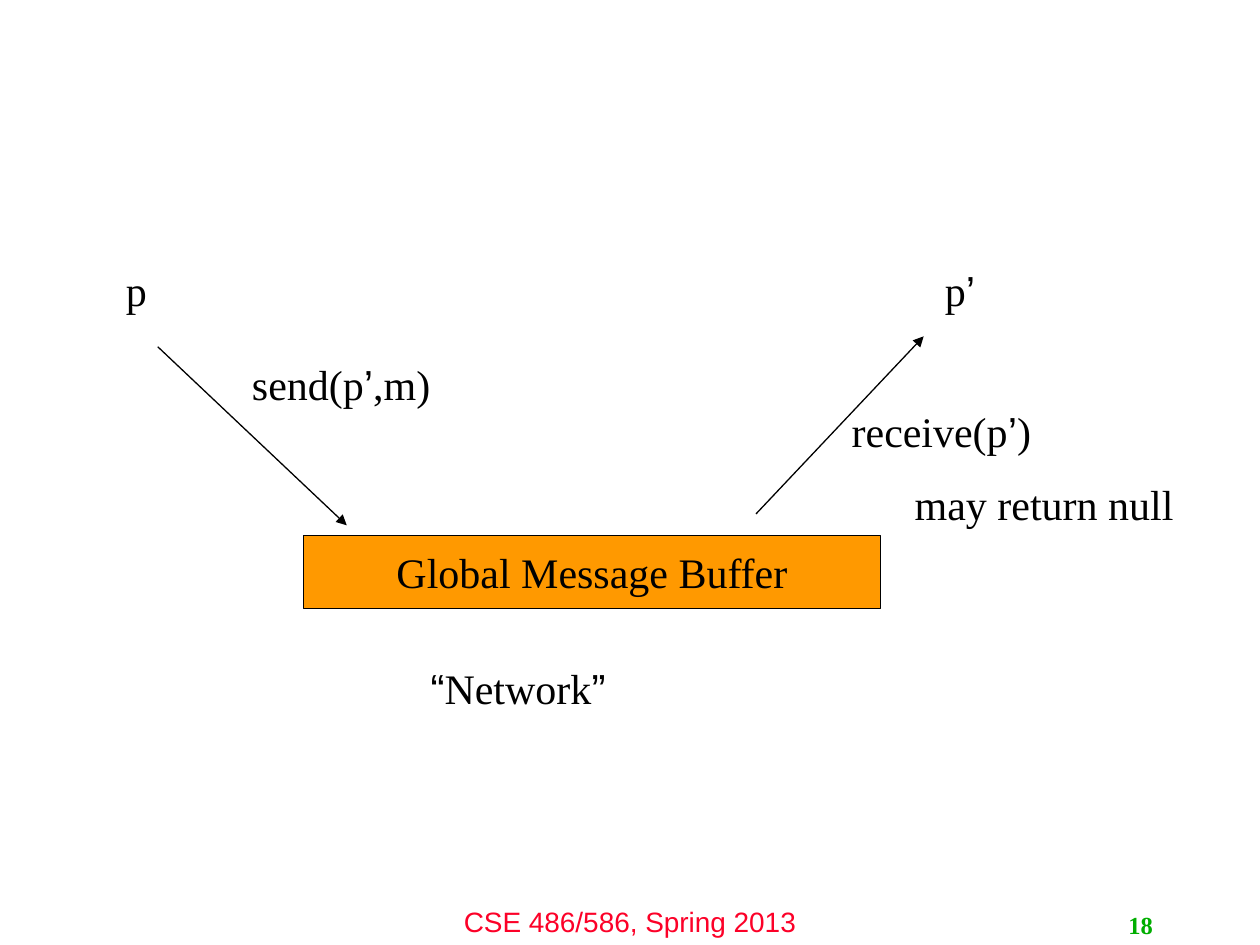
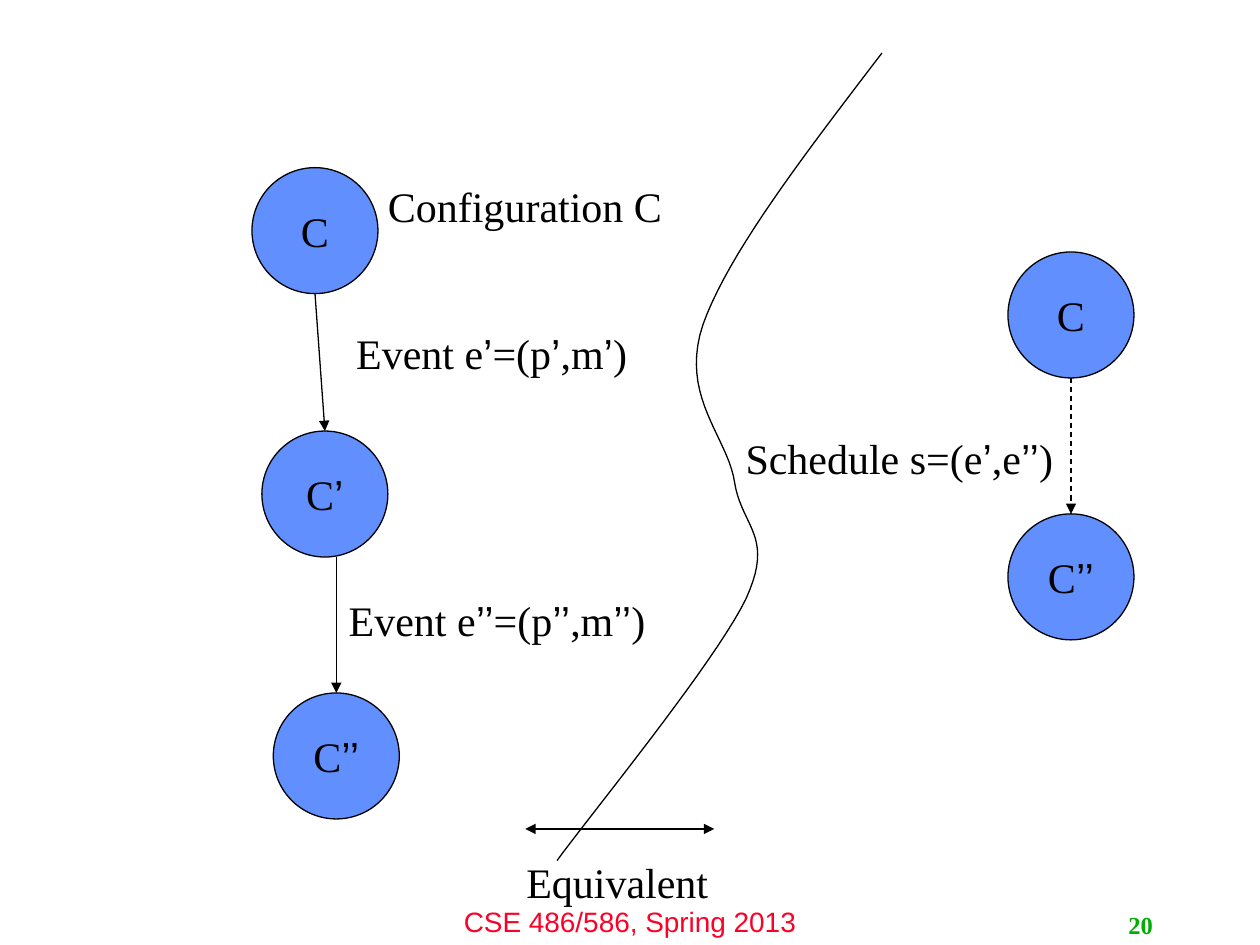
"""Two lecture slides: a global message buffer and equivalent event schedules."""
import itertools

import lxml.etree
import pptx
import pptx.dml.color
import pptx.enum.dml
import pptx.enum.shapes
import pptx.enum.text
import pptx.oxml.ns
import pptx.util

Cm, Pt = pptx.util.Cm, pptx.util.Pt
MSO = pptx.enum.shapes.MSO_SHAPE
ALIGN = pptx.enum.text.PP_ALIGN
MIDDLE = pptx.enum.text.MSO_ANCHOR.MIDDLE
DASH = pptx.enum.dml.MSO_LINE.DASH
qn = pptx.oxml.ns.qn

COLORS = {"ink": "000000", "footer": "FC0128", "number": "00AE00",
          "buffer": "FF9900", "state": "618FFD"}
RGB = {k: pptx.dml.color.RGBColor.from_string(v) for k, v in COLORS.items()}
BODY = {"size": Pt(24), "name": "Times New Roman"}
FOOTER = {"size": Pt(16), "name": "Arial"}
NUMBER = {"size": Pt(14), "name": "Times New Roman", "bold": True}
QUOTES = "“”’"
D = 2.54

SLIDES = [
    {
        "number": "18",
        "nodes": [(MSO.RECTANGLE, "buffer", 6.12, 10.8, 11.63, 1.47, "Global Message Buffer")],
        "arrows": [(3.18, 6.99, 6.99, 10.59, None, ["tailEnd"]),
                   (15.24, 10.36, 18.62, 6.78, None, ["tailEnd"])],
        "labels": [(2.29, 5.21, 0.94, "p"),
                   (18.8, 5.21, 1.22, "p’"),
                   (4.83, 7.11, 4.19, "send(p’,m)"),
                   (16.92, 8.05, 8.26, "receive(p’)\n\tmay return null"),
                   (8.43, 13.23, 4.22, "“Network”")],
        "curve": [],
    },
    {
        "number": "20",
        "nodes": [(MSO.OVAL, "state", x, y, D, D, text) for x, y, text in [
            (5.08, 3.38, "C"), (5.28, 8.69, "C’"), (5.51, 13.97, "C’’"),
            (20.32, 5.08, "C"), (20.32, 10.36, "C’’")]],
        "arrows": [(6.35, 5.92, 6.55, 8.69, None, ["tailEnd"]),
                   (6.78, 11.23, 6.78, 13.97, None, ["tailEnd"]),
                   (21.59, 7.62, 21.59, 10.36, DASH, ["tailEnd"]),
                   (10.59, 16.71, 14.4, 16.71, None, ["headEnd", "tailEnd"])],
        "labels": [(6.93, 6.48, 6.25, "Event e’=(p’,m’)"),
                   (6.78, 11.86, 7.09, "Event e’’=(p’’,m’’)"),
                   (7.57, 3.51, 6.05, "Configuration C"),
                   (14.78, 8.59, 7.01, "Schedule s=(e’,e’’)"),
                   (10.36, 17.15, 4.17, "Equivalent")],
        "curve": [(17.78, 1.07), (16.23, 3.1), (14.68, 5.11),
                  (14.17, 6.55), (13.69, 8), (14.68, 8.81),
                  (14.81, 9.73), (14.96, 10.64), (15.62, 10.8),
                  (15.04, 12.07), (14.43, 13.34), (11.86, 16.48), (11.23, 17.35)],
    },
]


def write(sp, text, fmt=BODY, color="ink", align=ALIGN.LEFT, wrap=False):
    """Fill a shape with text, setting curly quotes in Arial."""
    tf = sp.text_frame
    tf.word_wrap = wrap
    for i, line in enumerate(text.split("\n")):
        p = tf.add_paragraph() if i else tf.paragraphs[0]
        p.alignment = align
        if i:
            p.space_before = Pt(13)
        for quoted, chars in itertools.groupby(line, lambda ch: ch in QUOTES):
            r = p.add_run()
            r.text = "".join(chars)
            for key, value in (fmt | ({"name": "Arial"} if quoted else {})).items():
                setattr(r.font, key, value)
            r.font.color.rgb = RGB[color]
    return tf


def outline(sp):
    """Give a shape or connector the thin black line."""
    sp.line.color.rgb = RGB["ink"]
    sp.line.width = Pt(0.75)


prs = pptx.Presentation()
prs.slide_width, prs.slide_height = Cm(25.4), Cm(19.05)

for content in SLIDES:
    s = prs.slides.add_slide(prs.slide_layouts[6])
    sp = s.shapes.add_textbox(Cm(8.46), Cm(18.11), Cm(8.48), Cm(0.94))
    write(sp, "CSE 486/586, Spring 2013", FOOTER, "footer", ALIGN.CENTER, True)

    for kind, fill, x, y, w, h, text in content["nodes"]:
        sp = s.shapes.add_shape(kind, Cm(x), Cm(y), Cm(w), Cm(h))
        sp.shadow.inherit = False
        sp.fill.solid()
        sp.fill.fore_color.rgb = RGB[fill]
        outline(sp)
        write(sp, text, align=ALIGN.CENTER).vertical_anchor = MIDDLE

    for x1, y1, x2, y2, dash, heads in content["arrows"]:
        c = s.shapes.add_connector(pptx.enum.shapes.MSO_CONNECTOR.STRAIGHT,
                                   Cm(x1), Cm(y1), Cm(x2), Cm(y2))
        outline(c)
        if dash:
            c.line.dash_style = dash
        ln = c._element.spPr.find(qn("a:ln"))
        for head in heads:
            lxml.etree.SubElement(ln, qn("a:" + head), type="triangle")
        lxml.etree.SubElement(c._element.spPr, qn("a:effectLst"))

    curve = content["curve"]
    if curve:
        points = []
        for i in range(0, len(curve) - 1, 3):
            for t in [step / 20 for step in range(1, 21)]:
                weights = [(1 - t) ** 3, 3 * t * (1 - t) ** 2, 3 * t * t * (1 - t), t ** 3]
                points.append([Cm(sum(k * pt[axis] for k, pt in zip(weights, curve[i:i + 4])))
                               for axis in (0, 1)])
        fb = s.shapes.build_freeform(Cm(curve[0][0]), Cm(curve[0][1]))
        fb.add_line_segments(points, close=False)
        sp = fb.convert_to_shape()
        sp.shadow.inherit = False
        sp.fill.background()
        outline(sp)

    for x, y, w, text in content["labels"]:
        h = 1.27 + 1.02 * text.count("\n")
        write(s.shapes.add_textbox(Cm(x), Cm(y), Cm(w), Cm(h)), text)

    sp = s.shapes.add_textbox(Cm(18.21), Cm(18.24), Cm(5.28), Cm(0.81))
    write(sp, content["number"], NUMBER, "number", ALIGN.RIGHT, True).vertical_anchor = MIDDLE

prs.save("out.pptx")
